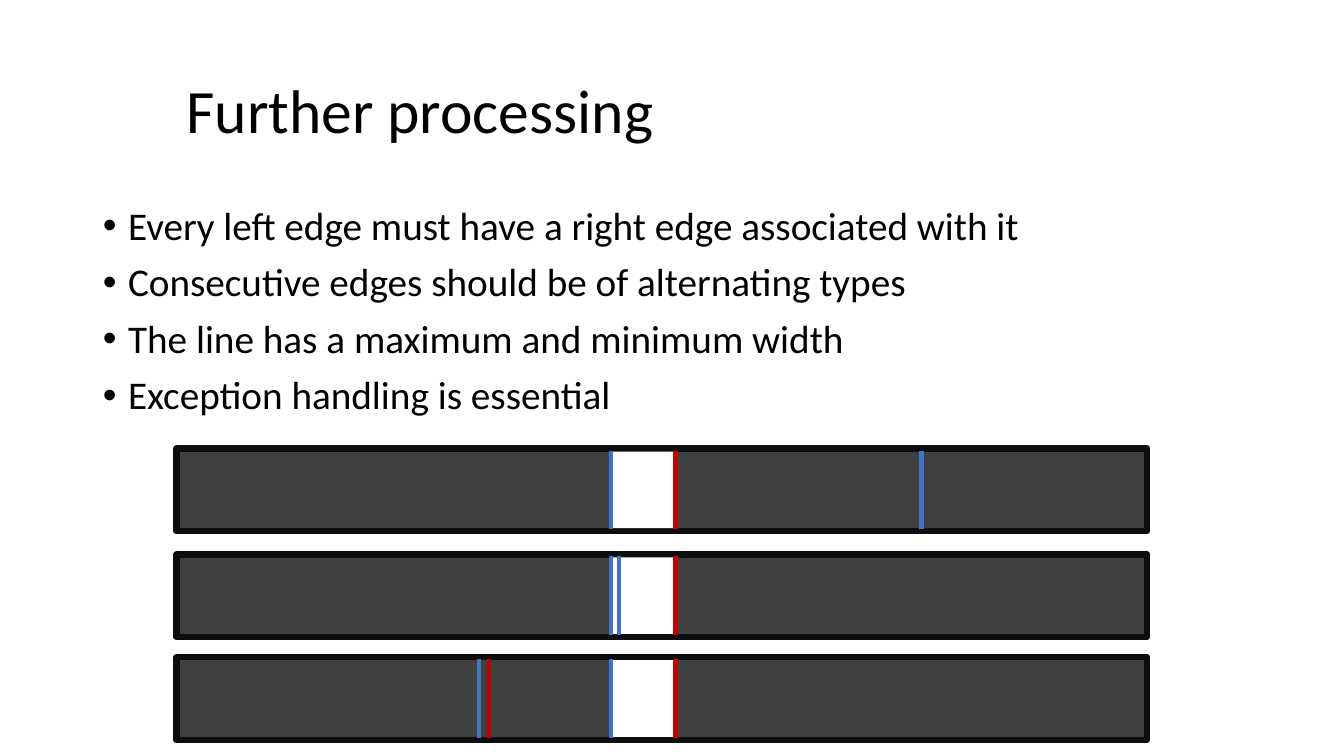
import pptx
import pptx.dml.color
import pptx.enum.shapes
import pptx.enum.text
import pptx.oxml
import pptx.oxml.ns
import pptx.util

PX = 9144  # EMU per px, 100 px to the inch
FONT = "Calibri"
COLORS = {
    "text": "000000",
    "floor": "404040",
    "border": "0D0D0D",
    "line": "FFFFFF",
    "left": "4472C4",
    "right": "C00000",
}
BULLETS = [
    "Every left edge must have a right edge associated with it",
    "Consecutive edges should be of alternating types",
    "The line has a maximum and minimum width",
    "Exception handling is essential",
]
LINE_START, LINE_WIDTH = 431, 64
# Top of each scan and its stray edges, as (kind, offset from the scan's left)
SCANS = [
    (445, [("left", 739)]),
    (550, [("left", 439)]),
    (652, [("left", 300), ("right", 310)]),
]


def color(name):
    return pptx.dml.color.RGBColor.from_string(COLORS[name])


def place(shape, left, top, width, height):
    shape.left, shape.top = left * PX, top * PX
    shape.width, shape.height = width * PX, height * PX


def format_paragraph(paragraph, size):
    paragraph.alignment = pptx.enum.text.PP_ALIGN.LEFT
    paragraph.line_spacing = 0.9
    for run in paragraph.runs:
        run.font.size = pptx.util.Pt(size)
        run.font.name = FONT
        run.font.color.rgb = color("text")


def add_bullet(paragraph, indent):
    properties = paragraph._p.get_or_add_pPr()
    properties.set("marL", str(indent * PX))
    properties.set("indent", str(-indent * PX))
    for tag, key, value in (("a:buFont", "typeface", "Arial"), ("a:buChar", "char", "•")):
        bullet = pptx.oxml.parse_xml(f"<{tag} {pptx.oxml.ns.nsdecls('a')}/>")
        bullet.set(key, value)
        properties.append(bullet)


def fill_title(title, left, top, width, height):
    place(title, left, top, width, height)
    frame = title.text_frame
    frame.text = "Further processing"
    frame.auto_size = pptx.enum.text.MSO_AUTO_SIZE.NONE
    frame.vertical_anchor = pptx.enum.text.MSO_ANCHOR.MIDDLE
    format_paragraph(frame.paragraphs[0], 44)


def fill_body(body, left, top, width, height):
    place(body, left, top, width, height)
    frame = body.text_frame
    frame.text = "\n".join(BULLETS)
    frame.auto_size = pptx.enum.text.MSO_AUTO_SIZE.NONE
    for paragraph in frame.paragraphs:
        format_paragraph(paragraph, 28)
        paragraph.space_before = pptx.util.Pt(10)
        add_bullet(paragraph, 25)


def add_rectangle(group, left, top, width, height, fill, border=None):
    rectangle = group.shapes.add_shape(
        pptx.enum.shapes.MSO_SHAPE.RECTANGLE, left * PX, top * PX, width * PX, height * PX
    )
    rectangle.shadow.inherit = False
    rectangle.fill.solid()
    rectangle.fill.fore_color.rgb = color(fill)
    if border:
        rectangle.line.color.rgb = color(border)
        rectangle.line.width = pptx.util.Pt(4.5)
    else:
        rectangle.line.fill.background()


def add_edge(group, x, top, height, kind):
    edge = group.shapes.add_connector(
        pptx.enum.shapes.MSO_CONNECTOR.STRAIGHT, x * PX, top * PX, x * PX, (top + height) * PX
    )
    edge.line.color.rgb = color(kind)
    edge.line.width = pptx.util.Pt(3)
    edge._element.spPr.append(
        pptx.oxml.parse_xml(f"<a:effectLst {pptx.oxml.ns.nsdecls('a')}/>")
    )


def add_scan(slide, left, top, width, height, stray_edges):
    """Draw a dark scan with the white line, its two edges and the stray ones."""
    scan = slide.shapes.add_group_shape()
    add_rectangle(scan, left, top, width, height, "floor", "border")
    add_rectangle(scan, left + LINE_START, top + 3, LINE_WIDTH, height - 6, "line")
    line_edges = [("left", LINE_START), ("right", LINE_START + LINE_WIDTH)]
    for kind, offset in line_edges + stray_edges:
        add_edge(scan, left + offset, top + 2, height - 4, kind)


def main():
    presentation = pptx.Presentation()
    presentation.slide_width = 1333 * PX
    presentation.slide_height = 750 * PX
    slide = presentation.slides.add_slide(presentation.slide_layouts[1])
    fill_title(slide.shapes.title, 175, 40, 837, 145)
    fill_body(slide.placeholders[1], 92, 200, 1150, 476)
    for top, stray_edges in SCANS:
        add_scan(slide, 175, top, 963, 82, stray_edges)
    presentation.save("out.pptx")


if __name__ == "__main__":
    main()
